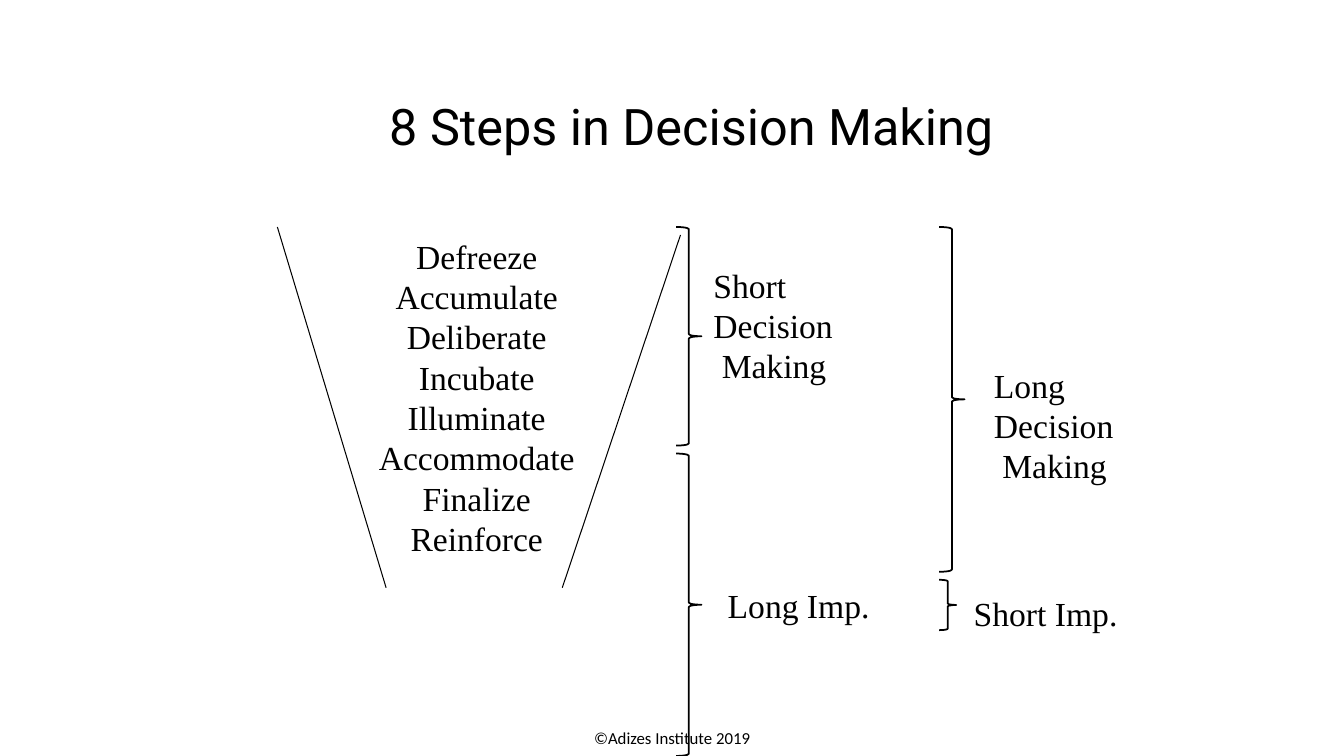
"""Build the slide on the eight steps in decision making."""
from lxml.etree import SubElement
from pptx import Presentation
from pptx.dml.color import RGBColor
from pptx.enum.shapes import MSO_CONNECTOR, MSO_SHAPE
from pptx.enum.text import MSO_ANCHOR, PP_ALIGN
from pptx.oxml.ns import qn
from pptx.util import Cm, Pt

COLORS = {"ink": "000000", "paper": "FFFFFF"}
SERIF = {"name": "Times New Roman", "size": Pt(24)}
SANS = {"name": "Roboto", "size": Pt(36)}
SMALL = {"name": "Calibri", "size": Pt(12)}
LEFT, CENTER = PP_ALIGN.LEFT, PP_ALIGN.CENTER

STEPS = ["Defreeze", "Accumulate", "Deliberate", "Incubate",
         "Illuminate", "Accommodate", "Finalize", "Reinforce"]
TEXTS = [
    (["©Adizes Institute 2019"], (11.3, 18.24, 11.28, 0.76), SMALL,
     {"alignment": CENTER, "line_spacing": 0.93}, {"margin_top": Cm(0.15)}),
    (STEPS, (9.12, 5.94, 5.79, 8.2), SERIF,
     {"alignment": CENTER, "line_spacing": 1.0}, {}),
    (["8 Steps in Decision Making"], (5.54, 0.38, 24.1, 3.56), SANS,
     {"alignment": LEFT},
     {"margin_left": Cm(4.27), "margin_top": Cm(1.98),
      "vertical_anchor": MSO_ANCHOR.MIDDLE}),
    (["Long Imp."], (18.34, 14.73, 3.7, 1.02), SERIF, {"alignment": LEFT}, {}),
    (["Short Imp."], (24.54, 14.94, 3.7, 1.02), SERIF, {"alignment": LEFT}, {}),
]
DECISIONS = [("Short", 17.98, 6.71), ("Long", 25.05, 9.25)]
FUNNEL = [(6.99, 5.72, 9.73, 14.81), (17.15, 5.92, 14.17, 14.81)]
BRACES = [(17.04, 5.72, 0.64, 5.51), (17.04, 11.43, 0.64, 7.62),
          (23.67, 5.72, 0.64, 8.69), (23.67, 14.61, 0.43, 1.27)]


def rgb(name):
    return RGBColor.from_string(COLORS[name])


def apply(target, values):
    for key, value in values.items():
        setattr(target, key, value)


def add_text(s, lines, box, font, para, frame):
    tf = s.shapes.add_textbox(*map(Cm, box)).text_frame
    apply(tf, {"word_wrap": True, "margin_left": 0, "margin_right": 0,
               "margin_top": 0, "margin_bottom": 0} | frame)
    for i, line in enumerate(lines):
        p = tf.add_paragraph() if i else tf.paragraphs[0]
        apply(p, para)
        r = p.add_run()
        r.text = line
        apply(r.font, font)
        r.font.color.rgb = rgb("ink")
    return tf


def add_line(s, ends):
    sp = s.shapes.add_connector(MSO_CONNECTOR.STRAIGHT, *map(Cm, ends))
    sp.line.color.rgb = rgb("ink")
    sp.line.width = Pt(0.75)
    SubElement(sp._element.spPr, qn("a:effectLst"))


def add_brace(s, box):
    sp = s.shapes.add_shape(MSO_SHAPE.RIGHT_BRACE, *map(Cm, box))
    sp.shadow.inherit = False
    sp.fill.background()
    sp.line.color.rgb = rgb("ink")
    sp.line.width = Pt(1.25)


def main():
    prs = Presentation()
    prs.slide_width, prs.slide_height = Cm(33.87), Cm(19.05)
    s = prs.slides.add_slide(prs.slide_layouts[6])
    s.background.fill.solid()
    s.background.fill.fore_color.rgb = rgb("paper")
    for item in TEXTS:
        add_text(s, *item)
    for length, x, y in DECISIONS:
        tf = add_text(s, [length, "Decision", "Making"], (x, y, 3.1, 3.1),
                      SERIF, {"alignment": LEFT, "line_spacing": 0.99}, {})
        tf.paragraphs[-1]._p.get_or_add_pPr().set("marL", str(Cm(0.21)))
    for ends in FUNNEL:
        add_line(s, ends)
    for box in BRACES:
        add_brace(s, box)
    prs.save("out.pptx")


if __name__ == "__main__":
    main()
